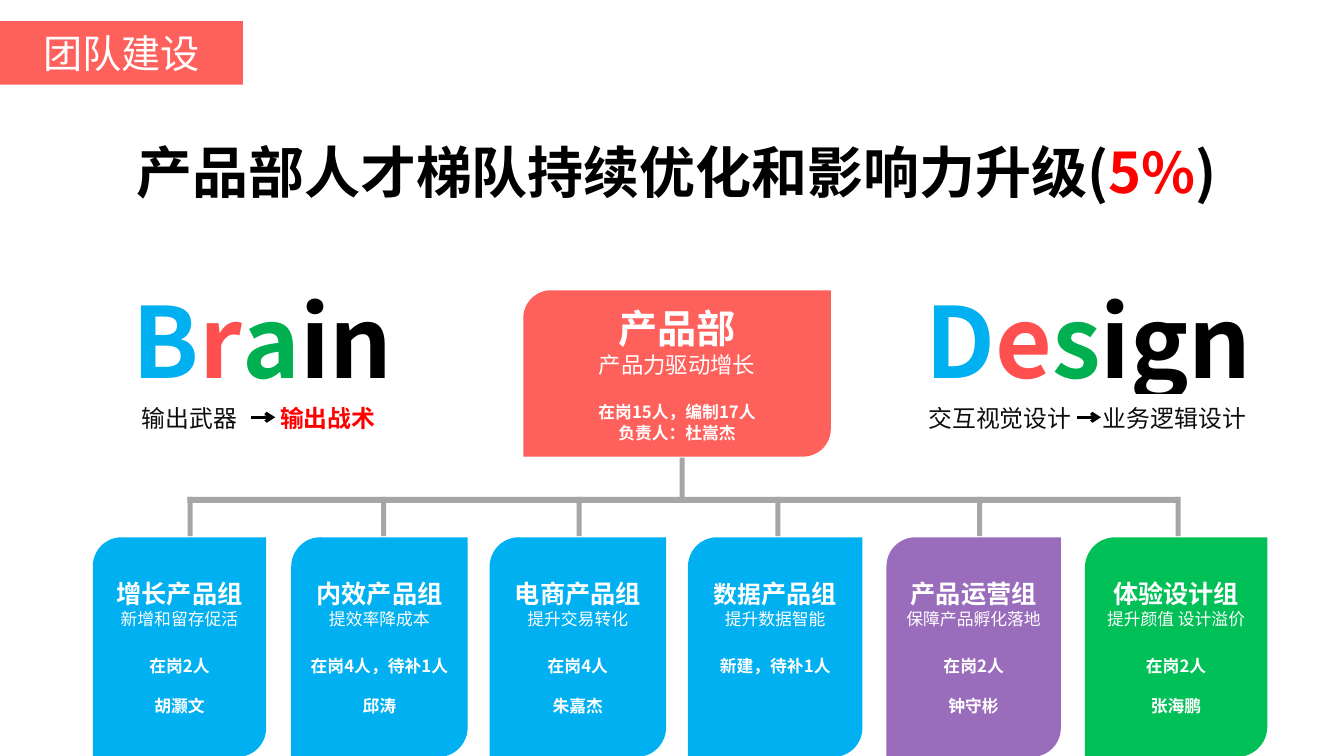
from dataclasses import dataclass

from lxml.etree import SubElement
from pptx import Presentation
from pptx.dml.color import RGBColor
from pptx.enum.shapes import MSO_CONNECTOR, MSO_SHAPE
from pptx.enum.text import MSO_ANCHOR, MSO_AUTO_SIZE, PP_ALIGN
from pptx.oxml.ns import qn
from pptx.shapes.autoshape import Shape
from pptx.slide import Slide
from pptx.util import Inches, Pt

FONT = "Noto Sans CJK SC"
WHITE, BLACK, INK, RED = "FFFFFF", "000000", "0D0D0D", "FF0000"
CORAL, BLUE, PURPLE, GREEN, GREY = "FE605C", "00B0F0", "7030A0", "00C057", "A6A6A6"
CARD_LEFT, CARD_PITCH, CARD_TOP, CARD_HEIGHT = 0.92, 1.968, 5.33, 2.18
RAIL_TOP, STEM_WIDTH, STEM_HEIGHT = 4.93, 0.05, 0.39


@dataclass
class Run:
    """A stretch of text in one format."""
    text: str
    size: float
    color: str = WHITE
    bold: bool = False


@dataclass
class Line:
    """A paragraph with the space above it in points."""
    runs: list[Run]
    before: float = 0


@dataclass
class Team:
    """A team card and the stem above it."""
    name: list[Run]
    goal: str
    staff: str
    leader: str
    color: str
    width: float
    stem: float
    opacity: int = 100
    bottom_inset: float = 0.05


@dataclass
class Word:
    """A large colourful word."""
    left: float
    letters: list[tuple[str, str]]


@dataclass
class Shift:
    """A change from one output to another, joined by an arrow."""
    left: float
    width: float
    before: str
    arrow: float
    after_left: float
    after: Run


TEAMS = [
    Team([Run("增长产品组", 18, bold=True)], "新增和留存促活", "在岗2人", "胡灏文", BLUE, 1.72, 1.86),
    Team([Run("内效产品组", 18, bold=True)], "提效率降成本", "在岗4人，待补1人", "邱涛", BLUE, 1.75, 3.78),
    Team([Run("电商产品组", 18, bold=True)], "提升交易转化", "在岗4人", "朱嘉杰", BLUE, 1.75, 5.72),
    Team([Run("数据", 17, bold=True), Run("产品组", 18, bold=True)], "提升数据智能",
         "新建，待补1人", "", BLUE, 1.73, 7.69, bottom_inset=0.45),
    Team([Run("产品运营组", 18, bold=True)], "保障产品孵化落地", "在岗2人", "钟守彬", PURPLE, 1.73, 9.69, 70),
    Team([Run("体验设计组", 18, bold=True)], "提升颜值 设计溢价", "在岗2人", "张海鹏", GREEN, 1.81, 11.66),
]
WORDS = [
    Word(8.16, [("D", BLUE), ("e", "FF5050"), ("s", "00B050"), ("ign", BLACK)]),
    Word(-0.03, [("B", BLUE), ("r", "FF5050"), ("a", "00B050"), ("in", BLACK)]),
]
SHIFTS = [
    Shift(1.31, 1.3, "输出武器", 2.49, 2.68, Run("输出战术", 17, RED, True)),
    Shift(9.11, 3.59, "交互视觉设计", 10.68, 10.84, Run("业务逻辑设计", 17, INK)),
]


def rgb(color: str) -> RGBColor:
    """Turn a hex string into a colour."""
    return RGBColor.from_string(color)


def write(shape: Shape, lines: list[Line], align=PP_ALIGN.CENTER,
          anchor=MSO_ANCHOR.MIDDLE, bottom_inset: float = 0.05) -> None:
    """Fill a shape with formatted paragraphs."""
    frame = shape.text_frame
    frame_format = {"word_wrap": True, "auto_size": MSO_AUTO_SIZE.NONE,
                    "vertical_anchor": anchor, "margin_bottom": Inches(bottom_inset)}
    for name, value in frame_format.items():
        setattr(frame, name, value)
    for index, line in enumerate(lines):
        paragraph = frame.add_paragraph() if index else frame.paragraphs[0]
        paragraph.alignment = align
        paragraph.space_before = Pt(line.before)
        for item in line.runs:
            run = paragraph.add_run()
            run.text = item.text
            font_format = {"name": FONT, "size": Pt(item.size), "bold": item.bold}
            for name, value in font_format.items():
                setattr(run.font, name, value)
            run.font.color.rgb = rgb(item.color)
            SubElement(run.font._element, qn("a:ea"), typeface=FONT)


def add_block(slide: Slide, kind: MSO_SHAPE, left: float, top: float, width: float,
              height: float, color: str, opacity: int = 100) -> Shape:
    """Add a filled shape without outline or shadow."""
    shape = slide.shapes.add_shape(kind, Inches(left), Inches(top), Inches(width), Inches(height))
    shape.shadow.inherit = False
    shape.line.fill.background()
    shape.fill.solid()
    shape.fill.fore_color.rgb = rgb(color)
    if opacity < 100:
        fill_color = shape.fill._xPr.find(qn("a:solidFill"))[0]
        SubElement(fill_color, qn("a:alpha"), val=str(opacity * 1000))
    return shape


def add_label(slide: Slide, left: float, top: float, width: float, height: float) -> Shape:
    """Add an empty text box."""
    return slide.shapes.add_textbox(Inches(left), Inches(top), Inches(width), Inches(height))


def add_headline(slide: Slide) -> None:
    """Move and fill the title placeholder."""
    title = slide.shapes.title
    for name, value in {"left": 1, "top": 1.31, "width": 11.42, "height": 1.1}.items():
        setattr(title, name, Inches(value))
    runs = [Run("产品部人才梯队持续优化和影响力升级(", 40, BLACK, True),
            Run("5%", 40, RED, True), Run(")", 40, BLACK, True)]
    write(title, [Line(runs)], anchor=MSO_ANCHOR.TOP)


def add_department(slide: Slide) -> None:
    """Add the department box with its stem and the rail below."""
    box = add_block(slide, MSO_SHAPE.ROUND_2_DIAG_RECTANGLE, 5.19, 2.88, 3.05, 1.65, CORAL)
    write(box, [Line([Run("产品部", 28, bold=True)]), Line([Run("产品力驱动增长", 16)]),
                Line([Run("在岗15人，编制17人", 12, bold=True)], 17),
                Line([Run("负责人：杜嵩杰", 12, bold=True)])])
    add_block(slide, MSO_SHAPE.RECTANGLE, 6.74, 4.54, STEM_WIDTH, STEM_HEIGHT, GREY)
    add_block(slide, MSO_SHAPE.RECTANGLE, 1.86, RAIL_TOP, 9.84, 0.06, GREY)


def add_team(slide: Slide, index: int, team: Team) -> None:
    """Add a team card and its stem."""
    add_block(slide, MSO_SHAPE.RECTANGLE, team.stem, RAIL_TOP, STEM_WIDTH, STEM_HEIGHT, GREY)
    card = add_block(slide, MSO_SHAPE.ROUND_2_DIAG_RECTANGLE, CARD_LEFT + index * CARD_PITCH,
                     CARD_TOP, team.width, CARD_HEIGHT, team.color, team.opacity)
    lines = [Line(team.name), Line([Run(team.goal, 12)]),
             Line([Run(team.staff, 12, bold=True)], 19)]
    if team.leader:
        lines.append(Line([Run(team.leader, 12, bold=True)], 14))
    write(card, lines, bottom_inset=team.bottom_inset)


def add_shift(slide: Slide, shift: Shift) -> None:
    """Add the two outputs and the arrow between them."""
    start = add_block(slide, MSO_SHAPE.RECTANGLE, shift.left, 3.91, shift.width, 0.47, WHITE)
    write(start, [Line([Run(shift.before, 17, INK)])], PP_ALIGN.LEFT)
    end = add_label(slide, shift.after_left, 3.91, 1.86, 0.47)
    write(end, [Line([shift.after])], PP_ALIGN.LEFT)
    arrow = slide.shapes.add_connector(MSO_CONNECTOR.STRAIGHT, Inches(shift.arrow), Inches(4.14),
                                       Inches(shift.arrow + 0.24), Inches(4.14))
    arrow.line.color.rgb = rgb(BLACK)
    arrow.line.width = Pt(2.25)
    SubElement(arrow.line._get_or_add_ln(), qn("a:tailEnd"), type="arrow")
    SubElement(arrow._element.spPr, qn("a:effectLst"))


def main() -> None:
    """Build the team slide and save it."""
    presentation = Presentation()
    presentation.slide_width, presentation.slide_height = Inches(13.33), Inches(7.5)
    slide = presentation.slides.add_slide(presentation.slide_layouts[5])
    add_headline(slide)
    badge = add_block(slide, MSO_SHAPE.RECTANGLE, 0, 0.21, 2.41, 0.63, CORAL)
    write(badge, [Line([Run("团队建设", 28)])])
    add_department(slide)
    for index, team in enumerate(TEAMS):
        add_team(slide, index, team)
    for word in WORDS:
        runs = [Run(text, 70, color, True) for text, color in word.letters]
        write(add_label(slide, word.left, 2.73, 5.27, 1.1), [Line(runs)], anchor=MSO_ANCHOR.TOP)
    for shift in SHIFTS:
        add_shift(slide, shift)
    presentation.save("out.pptx")


if __name__ == "__main__":
    main()
